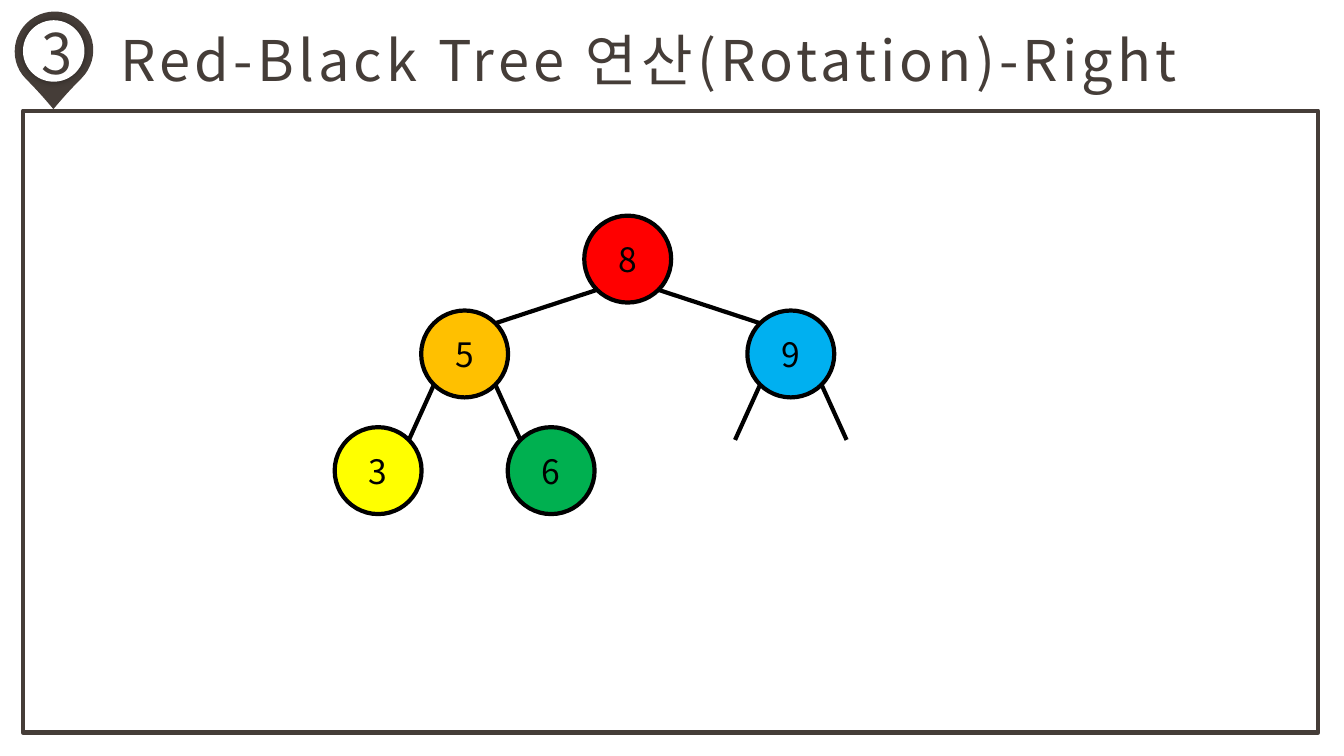
import math
from lxml import etree
from pptx import Presentation
from pptx import util as u
from pptx.dml.color import RGBColor
from pptx.enum import shapes, text
from pptx.oxml import ns

FONT = "Noto Sans CJK KR"
COLORS = {
    "brown": "453D38",
    "white": "FFFFFF",
    "black": "000000",
    "red": "FF0000",
    "orange": "FFC000",
    "sky": "00B0F0",
    "yellow": "FFFF00",
    "green": "00B050",
}
DIAMETER = 2.19
ROOT_X = 15.82
LEVELS = [6.53, 8.92, 11.86]
SPREADS = [4.11, 2.18]
TREE = ("8", "red",
        ("5", "orange", ("3", "yellow"), ("6", "green")),
        ("9", "sky", None, None))


def color(name):
    return RGBColor.from_string(COLORS[name])


def write(frame, words, size, ink="black", align=None, spacing=None):
    para = frame.paragraphs[0]
    para.alignment = align
    span = para.add_run()
    span.text = words
    span.font.size = u.Pt(size)
    span.font.name = FONT
    span.font.color.rgb = color(ink)
    properties = span.font._element
    if spacing:
        properties.set("spc", str(spacing * 100))
    east_asian = etree.SubElement(properties, ns.qn("a:ea"))
    east_asian.set("typeface", FONT)
    properties.find(ns.qn("a:latin")).addnext(east_asian)


def add_shape(page, kind, left, top, width, height, fill=None, line=None):
    shape = page.shapes.add_shape(kind, u.Cm(left), u.Cm(top), u.Cm(width), u.Cm(height))
    shape.shadow.inherit = False
    if fill:
        shape.fill.solid()
        shape.fill.fore_color.rgb = color(fill)
    else:
        shape.fill.background()
    if line:
        shape.line.color.rgb = color(line)
        shape.line.width = u.Pt(3)
    else:
        shape.line.fill.background()
    return shape


def add_glow(shape):
    effects = shape._element.spPr.find(ns.qn("a:effectLst"))
    shadow = etree.SubElement(effects, ns.qn("a:outerShdw"), blurRad=str(u.Pt(5)), algn="ctr")
    shade = etree.SubElement(shadow, ns.qn("a:srgbClr"), val=COLORS["black"])
    etree.SubElement(shade, ns.qn("a:alpha"), val="40000")


def add_label(page, words, left, top, width, wrap=True, align=None):
    box = page.shapes.add_textbox(u.Cm(left), u.Cm(top), u.Cm(width), u.Cm(1.96))
    box.text_frame.word_wrap = wrap
    box.text_frame.auto_size = text.MSO_AUTO_SIZE.SHAPE_TO_FIT_TEXT
    write(box.text_frame, words, 40, ink="brown", align=align, spacing=3)


def add_edge(page, x, y, child_x, child_y):
    reach = DIAMETER / 2 * math.sqrt(0.5)
    side = math.copysign(reach, child_x - x)
    edge = page.shapes.add_connector(
        shapes.MSO_CONNECTOR.STRAIGHT,
        u.Cm(x + side), u.Cm(y + reach), u.Cm(child_x - side), u.Cm(child_y - reach))
    edge.line.color.rgb = color("black")
    edge.line.width = u.Pt(3)
    etree.SubElement(edge._element.spPr, ns.qn("a:effectLst"))


def add_node(page, key, fill, x, y):
    node = add_shape(page, shapes.MSO_SHAPE.OVAL, x - DIAMETER / 2, y - DIAMETER / 2,
                     DIAMETER, DIAMETER, fill=fill, line="black")
    node.text_frame.vertical_anchor = text.MSO_ANCHOR.MIDDLE
    write(node.text_frame, key, 24, align=text.PP_ALIGN.CENTER)


def add_tree(page, tree, x, level=0):
    key, fill, *children = tree
    y = LEVELS[level]
    for direction, child in zip((-1, 1), children):
        child_x = x + direction * SPREADS[level]
        add_edge(page, x, y, child_x, LEVELS[level + 1])
        if child:
            add_tree(page, child, child_x, level + 1)
    add_node(page, key, fill, x, y)


def add_heading(page):
    pin = add_shape(page, shapes.MSO_SHAPE.TEAR, 0.36, 0.3, 2, 1.96, fill="brown")
    pin.adjustments[0] = 1.05
    pin.rotation = 135
    disc = add_shape(page, shapes.MSO_SHAPE.OVAL, 0.58, 0.51, 1.55, 1.55, fill="white")
    add_glow(disc)
    add_label(page, "Red-Black Tree 연산(Rotation)-Right", 2.79, 0.51, 30.4)
    add_label(page, "3", 0.69, 0.33, 1.5, wrap=False, align=text.PP_ALIGN.CENTER)


def main():
    deck = Presentation()
    deck.slide_width = u.Cm(33.87)
    deck.slide_height = u.Cm(19.05)
    page = deck.slides.add_slide(deck.slide_layouts[6])
    add_shape(page, shapes.MSO_SHAPE.RECTANGLE, 0.58, 2.79, 32.64, 15.67, line="brown")
    add_heading(page)
    add_tree(page, TREE, ROOT_X)
    deck.save("out.pptx")


if __name__ == "__main__":
    main()
